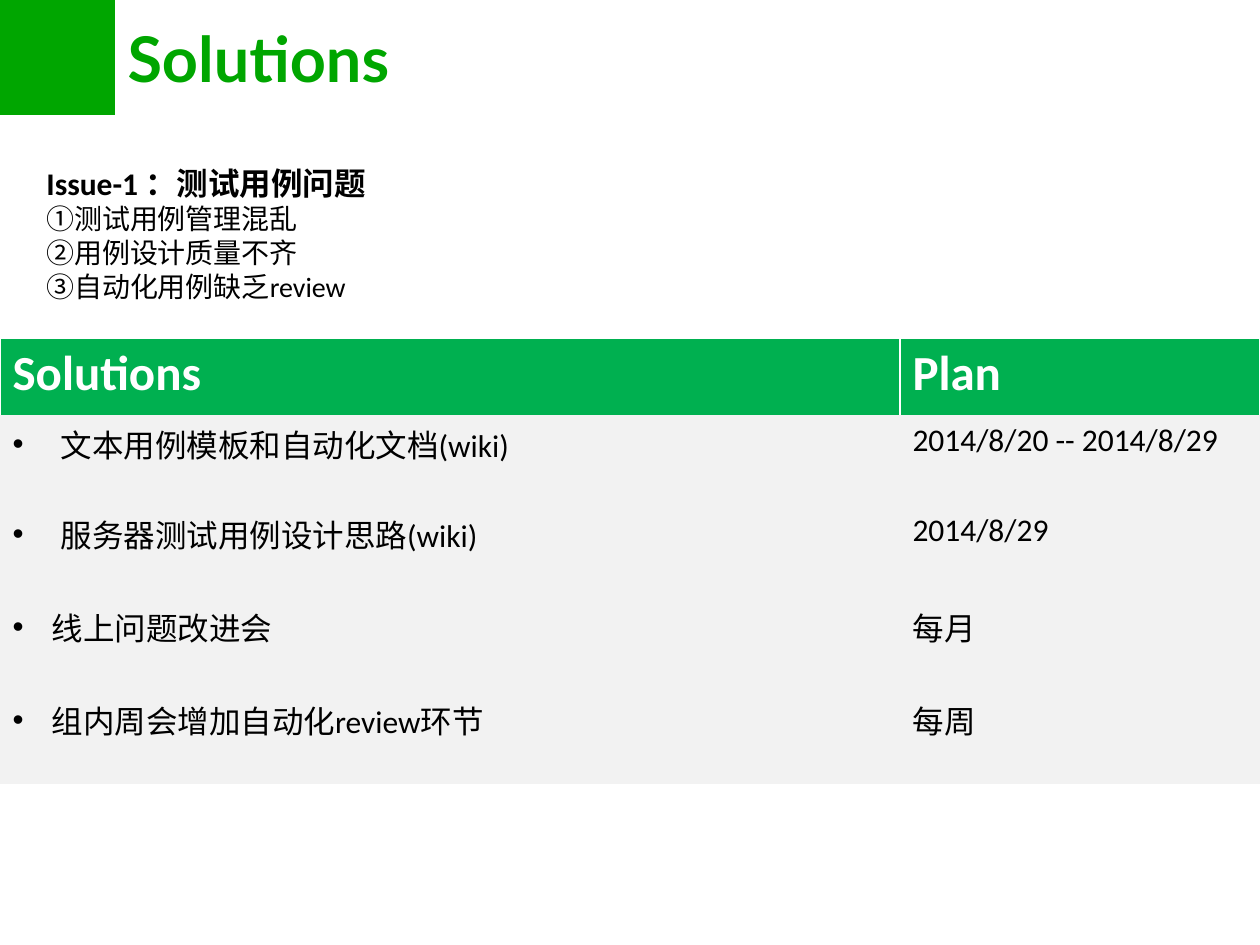
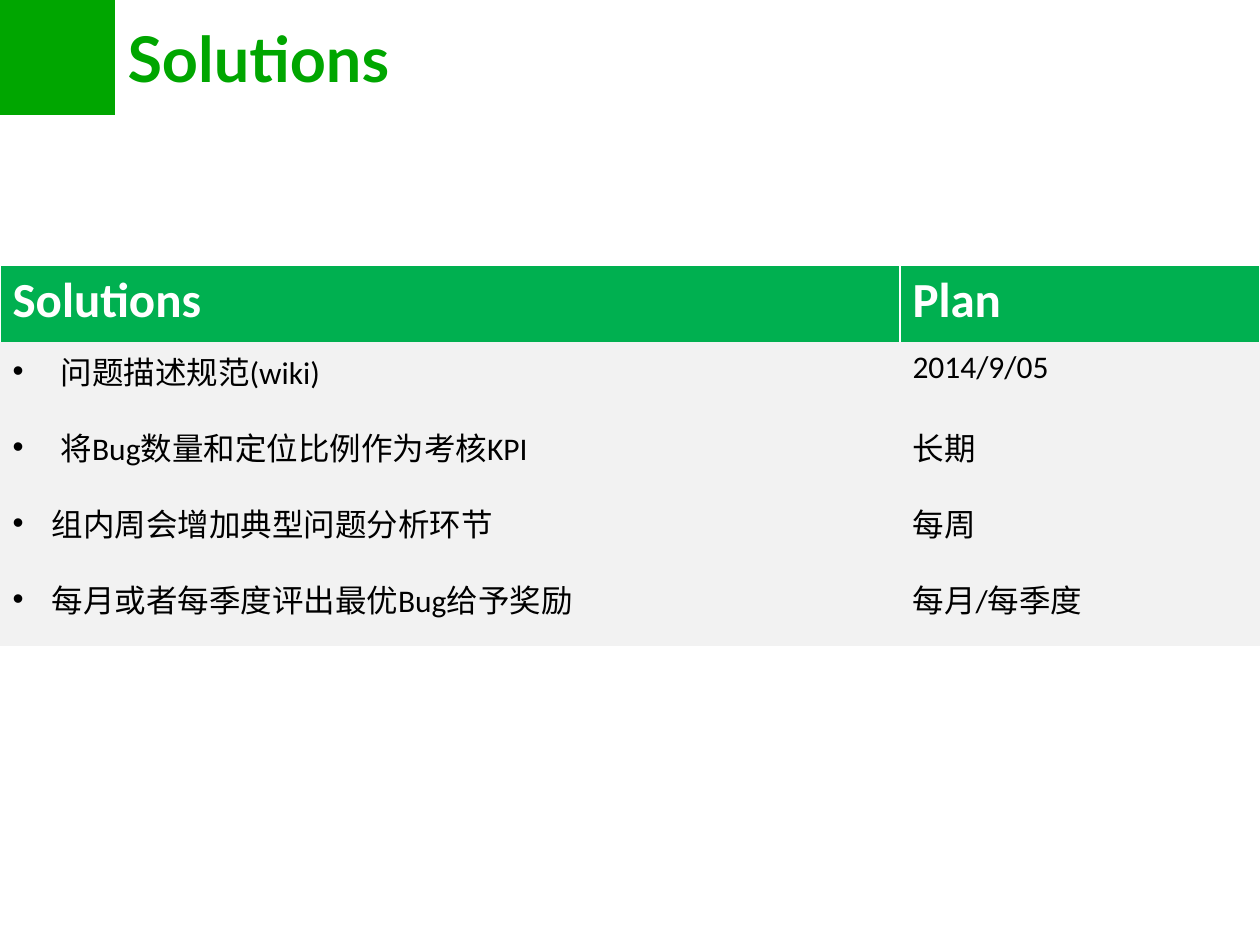
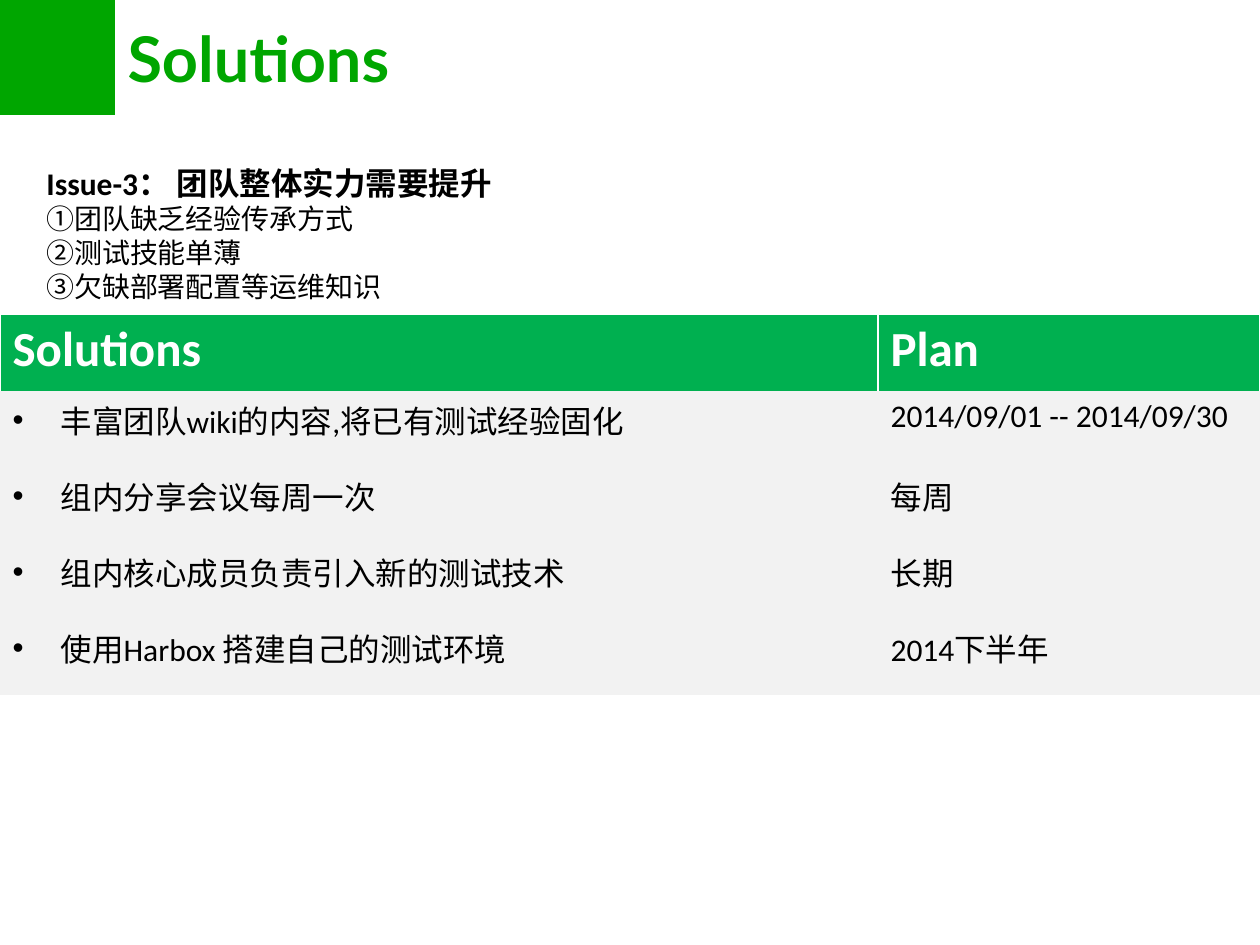
from dataclasses import dataclass

from lxml import etree
from pptx import Presentation
from pptx import util as u
from pptx.dml.color import RGBColor
from pptx.enum import shapes, text
from pptx.oxml.ns import qn

PX_PER_INCH = 126
NO_GRID_STYLE = "{2D5ABB26-0587-4C30-8999-92F81FD0307C}"
WIDE, NARROW = 48, 39  # hanging indents of the bullets


def px(n):
    return u.Inches(n / PX_PER_INCH)


@dataclass(frozen=True)
class Theme:
    brand: str = "00A600"
    header: str = "00B050"
    row: str = "F2F2F2"
    ink: str = "000000"
    white: str = "FFFFFF"
    title_font: str = "Lato"
    body_font: str = "Calibri"
    title_size: int = 36
    header_size: int = 28
    body_size: int = 18
    detail_size: int = 16


class Deck:
    """Holds the theme and the slide being built."""

    def __init__(self, theme):
        self.theme = theme
        self.prs = Presentation()
        self.prs.slide_width, self.prs.slide_height = px(1260), px(945)
        self.s = None

    def font(self, p, size, color, bold=False, name=None):
        f = p.font
        f.name, f.size, f.bold = name or self.theme.body_font, u.Pt(size), bold
        f.color.rgb = RGBColor.from_string(color)

    def slide(self, title):
        self.s = self.prs.slides.add_slide(self.prs.slide_layouts[5])
        self.square(0, 0, 115)
        self.title(title)

    def square(self, x, y, side):
        sp = self.s.shapes.add_shape(shapes.MSO_SHAPE.RECTANGLE,
                                     px(x), px(y), px(side), px(side))
        sp.shadow.inherit = False
        sp.fill.solid()
        sp.fill.fore_color.rgb = RGBColor.from_string(self.theme.brand)
        sp.line.fill.background()

    def title(self, words):
        t = self.theme
        sp = self.s.shapes.title
        sp.left, sp.top, sp.width, sp.height = px(115), px(0), px(1081), px(115)
        tf = sp.text_frame
        tf.text = words
        tf.auto_size = text.MSO_AUTO_SIZE.NONE
        tf.vertical_anchor = text.MSO_ANCHOR.MIDDLE
        p = tf.paragraphs[0]
        p.alignment = text.PP_ALIGN.LEFT
        self.font(p, t.title_size, t.brand, True, t.title_font)

    def issue(self, heading, *details):
        t = self.theme
        sp = self.s.shapes.add_textbox(px(34), px(158), px(963), px(152))
        tf = sp.text_frame
        tf.word_wrap = True
        tf.text = "\n".join((heading, *details))
        for i, p in enumerate(tf.paragraphs):
            self.font(p, t.detail_size if i else t.body_size, t.ink, bold=i == 0)

    def plan_table(self, top, col_widths, row_heights, rows):
        """Draw the plan; each row is (solution, bullet indent, plan)."""
        t = self.theme
        heights = [77, *row_heights]
        frame = self.s.shapes.add_table(len(heights), 2, px(0), px(top),
                                        px(sum(col_widths)), px(sum(heights)))
        table = frame.table
        table.horz_banding = False
        table._tbl.tblPr.find(qn("a:tableStyleId")).text = NO_GRID_STYLE
        for col, width in zip(table.columns, col_widths):
            col.width = px(width)
        for row, height in zip(table.rows, heights):
            row.height = px(height)
        for c, words in enumerate(("Solutions", "Plan")):
            cell = table.cell(0, c)
            self.cell(cell, words, t.header, t.header_size, t.white, True)
            self.borders(cell, "LRT")
        for r, (solution, indent, plan) in enumerate(rows, 1):
            p = self.cell(table.cell(r, 0), solution, t.row, t.body_size, t.ink)
            self.bullet(p, indent)
            self.cell(table.cell(r, 1), plan, t.row, t.body_size, t.ink)

    def cell(self, cell, words, fill, size, color, bold=False):
        cell.text = words
        cell.fill.solid()
        cell.fill.fore_color.rgb = RGBColor.from_string(fill)
        p = cell.text_frame.paragraphs[0]
        self.font(p, size, color, bold)
        return p

    def borders(self, cell, sides):
        tcPr = cell._tc.get_or_add_tcPr()
        for i, side in enumerate(sides):
            ln = etree.Element(qn(f"a:ln{side}"), w=str(u.Pt(1)))
            fill = etree.SubElement(ln, qn("a:solidFill"))
            etree.SubElement(fill, qn("a:srgbClr"), val=self.theme.white)
            tcPr.insert(i, ln)

    def bullet(self, p, indent):
        pPr = p._p.get_or_add_pPr()
        pPr.set("marL", str(px(indent)))
        pPr.set("indent", str(-px(indent)))
        mark = etree.Element(qn("a:buChar"), char="•")
        face = etree.Element(qn("a:buFont"), typeface="Arial")
        pPr.insert(0, mark)
        pPr.insert(0, face)


def main():
    deck = Deck(Theme())

    deck.slide("Solutions")
    deck.plan_table(338, (900, 360), (90, 93, 93, 93), [
        ("文本用例模板和自动化文档(wiki)", WIDE, "2014/8/20 -- 2014/8/29"),
        ("服务器测试用例设计思路(wiki)", WIDE, "2014/8/29"),
        ("线上问题改进会", NARROW, "每月"),
        ("组内周会增加自动化review环节", NARROW, "每周"),
    ])
    deck.issue("Issue-1 ：测试用例问题", "①测试用例管理混乱",
               "②用例设计质量不齐", "③自动化用例缺乏review")

    deck.slide("Solutions")
    deck.plan_table(265, (900, 360), [76] * 4, [
        ("问题描述规范(wiki)", WIDE, "2014/9/05"),
        ("将Bug数量和定位比例作为考核KPI", WIDE, "长期"),
        ("组内周会增加典型问题分析环节", NARROW, "每周"),
        ("每月或者每季度评出最优Bug给予奖励", NARROW, "每月/每季度"),
    ])

    deck.slide("Solutions")
    deck.plan_table(314, (878, 382), [76] * 4, [
        ("丰富团队wiki的内容,将已有测试经验固化", WIDE, "2014/09/01 -- 2014/09/30"),
        ("组内分享会议每周一次", WIDE, "每周"),
        ("组内核心成员负责引入新的测试技术", WIDE, "长期"),
        ("使用Harbox 搭建自己的测试环境", WIDE, "2014下半年"),
    ])
    deck.issue("Issue-3： 团队整体实力需要提升", "①团队缺乏经验传承方式",
               "②测试技能单薄", "③欠缺部署配置等运维知识")

    deck.prs.save("out.pptx")


if __name__ == "__main__":
    main()
